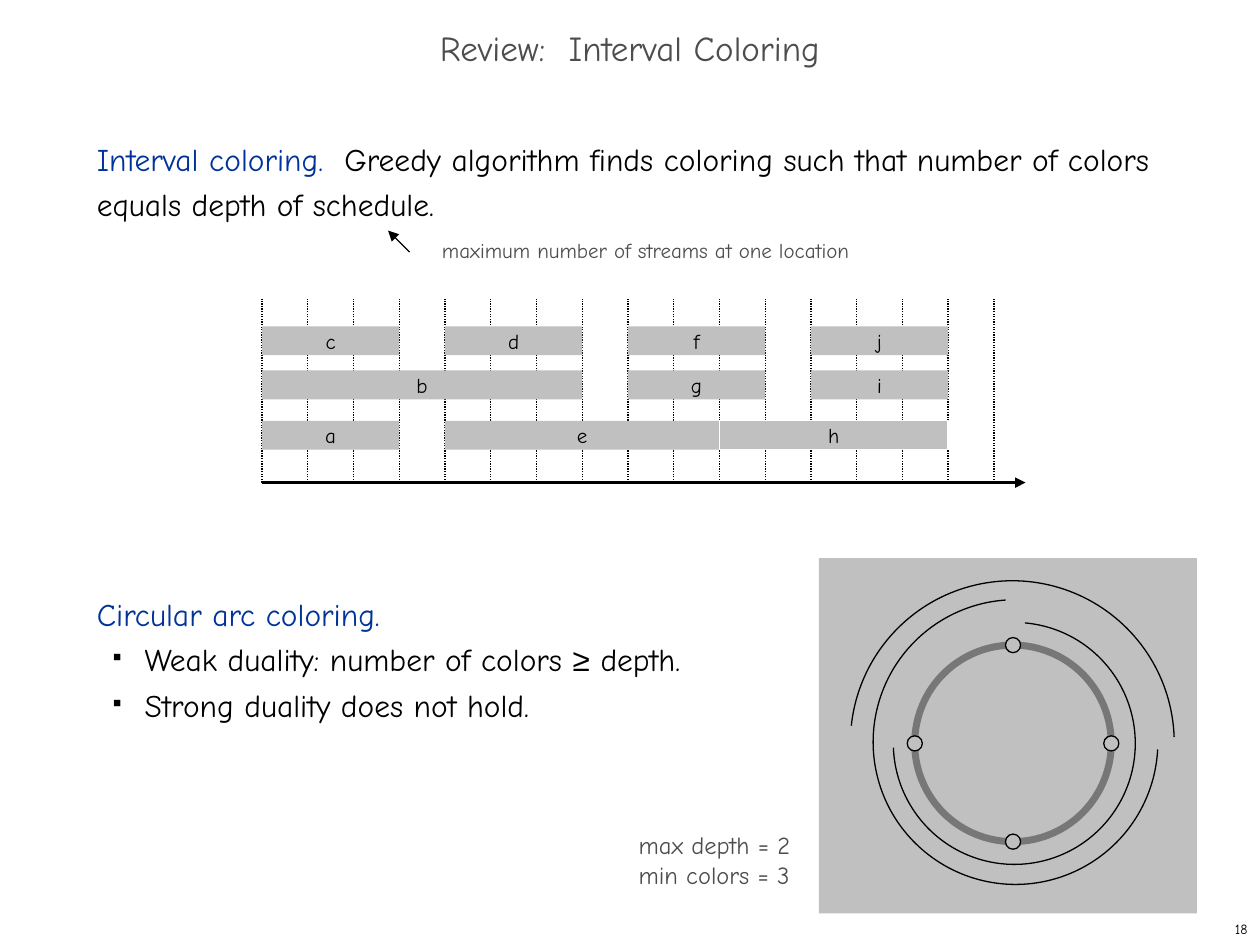
from math import cos, pi, sin

from lxml.etree import SubElement
from pptx import Presentation
from pptx.dml.color import RGBColor
from pptx.enum.dml import MSO_LINE
from pptx.enum.shapes import MSO_CONNECTOR, MSO_SHAPE as Shape
from pptx.enum.text import MSO_ANCHOR as Anchor, PP_ALIGN as Align
from pptx.oxml.ns import qn
from pptx.util import Inches, Pt

FONT = "Comic Neue"
BLACK, DARK, GRAY, RING = "000000", "4D4D4D", "C0C0C0", "777777"
WHITE, BLUE = "FFFFFF", "003399"
GRID_LEFT, GRID_TOP, GRID_BOTTOM = 2.08, 2.37, 3.83
GRID_STEP, GRID_LINES = 0.363, 17
BAR_HEIGHT = 0.23
BAR_ROWS = {
    2.59: [("c", 0, 3), ("d", 4, 7), ("f", 8, 11), ("j", 12, 15)],
    2.94: [("b", 0, 7), ("g", 8, 11), ("i", 12, 15)],
    3.34: [("a", 0, 3), ("e", 4, 10), ("h", 10, 15)],
}
ARCS = [
    (6.75, 4.61, 2.57, 186, 358),
    (6.93, 4.76, 2.26, 3, 266),
    (7.09, 4.94, 1.92, 275, 178),
]
CENTER_X, CENTER_Y, RADIUS, NODE = 8.04, 5.9, 0.78, 0.12


def color(value):
    """Return the colour for a hex string."""
    return RGBColor.from_string(value)


def set_font(font, size, value):
    """Set typeface, size and colour of a font."""
    font.name = FONT
    font.size = Pt(size)
    font.color.rgb = color(value)


def add_text(slide, left, top, width, height, text, size, value,
             align=Align.LEFT, anchor=Anchor.TOP, wrap=True):
    """Add a text box with one paragraph and return that paragraph."""
    frame = slide.shapes.add_textbox(
        Inches(left), Inches(top), Inches(width), Inches(height)).text_frame
    frame.word_wrap = wrap
    frame.vertical_anchor = anchor
    para = frame.paragraphs[0]
    para.text = text
    para.alignment = align
    set_font(para.font, size, value)
    return para


def add_shape(slide, kind, left, top, width, height, fill=None, line=None, weight=0.75):
    """Add a preset shape with optional fill and outline."""
    shape = slide.shapes.add_shape(
        kind, Inches(left), Inches(top), Inches(width), Inches(height))
    shape.shadow.inherit = False
    if fill:
        shape.fill.solid()
        shape.fill.fore_color.rgb = color(fill)
    else:
        shape.fill.background()
    if line:
        shape.line.color.rgb = color(line)
        shape.line.width = Pt(weight)
    else:
        shape.line.fill.background()
    return shape


def add_line(slide, x1, y1, x2, y2, weight=0.75, dash=None, arrow=False):
    """Add a straight black line, optionally dashed or with an arrowhead."""
    line = slide.shapes.add_connector(
        MSO_CONNECTOR.STRAIGHT, Inches(x1), Inches(y1), Inches(x2), Inches(y2))
    line.line.color.rgb = color(BLACK)
    line.line.width = Pt(weight)
    if dash:
        line.line.dash_style = dash
    if arrow:
        SubElement(line.line._get_or_add_ln(), qn("a:tailEnd"), type="triangle")
    SubElement(line._element.spPr, qn("a:effectLst"))


def add_body_para(frame, spans, first=False, bullet=False, before=0):
    """Add a body paragraph from (text, colour, font) spans."""
    para = frame.paragraphs[0] if first else frame.add_paragraph()
    if bullet:
        props = para._p.get_or_add_pPr()
        props.set("marL", str(Inches(0.38)))
        props.set("indent", str(Inches(-0.25)))
        tint = SubElement(props, qn("a:buClr"))
        SubElement(tint, qn("a:srgbClr"), val=BLACK)
        SubElement(props, qn("a:buSzPct"), val="35000")
        SubElement(props, qn("a:buChar"), char="■")
    para.line_spacing = Pt(26)
    para.space_before = Pt(before)
    para.font.size = Pt(18)
    for text, value, face in spans:
        span = para.add_run()
        span.text = text
        span.font.name = face
        span.font.color.rgb = color(value)


def add_body(slide):
    """Add the statements about interval and circular arc coloring."""
    frame = slide.shapes.add_textbox(
        Inches(0.67), Inches(1), Inches(8.58), Inches(5.92)).text_frame
    frame.word_wrap = True
    add_body_para(frame, [
        ("Interval coloring.  ", BLUE, FONT),
        ("Greedy algorithm finds coloring such that number of colors "
         "equals depth of schedule.", BLACK, FONT)], first=True)
    add_body_para(frame, [("Circular arc coloring.", BLUE, FONT)], before=8 * 26)
    add_body_para(frame, [
        ("Weak duality: number of colors ", BLACK, FONT),
        ("≥", BLACK, "Arial"),
        (" depth.", BLACK, FONT)], bullet=True)
    add_body_para(frame, [("Strong duality does not hold.", BLACK, FONT)], bullet=True)


def add_schedule(slide):
    """Add the time grid, its axis and the labelled intervals."""
    for index in range(GRID_LINES):
        x = GRID_LEFT + index * GRID_STEP
        add_line(slide, x, GRID_BOTTOM, x, GRID_TOP, dash=MSO_LINE.ROUND_DOT)
    add_line(slide, GRID_LEFT, GRID_BOTTOM, 8.14, GRID_BOTTOM, 1.25, arrow=True)
    for top, bars in BAR_ROWS.items():
        for label, start, end in bars:
            bar = add_shape(
                slide, Shape.RECTANGLE, GRID_LEFT + start * GRID_STEP, top,
                (end - start) * GRID_STEP, BAR_HEIGHT, GRAY,
                WHITE if label == "h" else None)
            bar.text_frame.word_wrap = False
            bar.text_frame.vertical_anchor = Anchor.MIDDLE
            para = bar.text_frame.paragraphs[0]
            para.text = label
            para.alignment = Align.CENTER
            set_font(para.font, 12, BLACK)


def add_circle_diagram(slide):
    """Add the ring with four nodes and the three arcs around it."""
    add_shape(slide, Shape.RECTANGLE, 6.5, 4.43, 3, 2.82, GRAY)
    add_shape(slide, Shape.OVAL, CENTER_X - RADIUS, CENTER_Y - RADIUS,
              2 * RADIUS, 2 * RADIUS, GRAY, RING, 4)
    for quarter in range(4):
        x = CENTER_X + RADIUS * cos(quarter * pi / 2)
        y = CENTER_Y + RADIUS * sin(quarter * pi / 2)
        add_shape(slide, Shape.OVAL, x - NODE / 2, y - NODE / 2, NODE, NODE, GRAY, BLACK)
    for left, top, size, start, end in ARCS:
        arc = add_shape(slide, Shape.ARC, left, top, size, size, line=BLACK)
        for index, angle in enumerate((start, end)):
            arc.adjustments[index] = angle * 0.6


def main():
    """Build the slide and save the deck."""
    deck = Presentation()
    deck.slide_width, deck.slide_height = Inches(10), Inches(7.5)
    slide = deck.slides.add_slide(deck.slide_layouts[6])
    title = add_text(slide, 0, 0.17, 10, 0.5, "Review:  Interval Coloring",
                     20, DARK, Align.CENTER, Anchor.MIDDLE)
    title.line_spacing = 0.7
    add_body(slide)
    add_schedule(slide)
    add_line(slide, 3.25, 2, 3.08, 1.83, arrow=True)
    add_text(slide, 3.41, 1.84, 3.44, 0.3,
             "maximum number of streams at one location", 12, DARK, wrap=False)
    add_circle_diagram(slide)
    add_text(slide, 4.97, 6.54, 1.41, 0.57, "max depth = 2\vmin colors = 3",
             14, DARK, wrap=False)
    add_text(slide, 7.92, 7.25, 2.08, 0.25, "18", 8, BLACK, Align.RIGHT, Anchor.MIDDLE)
    deck.save("out.pptx")


if __name__ == "__main__":
    main()
